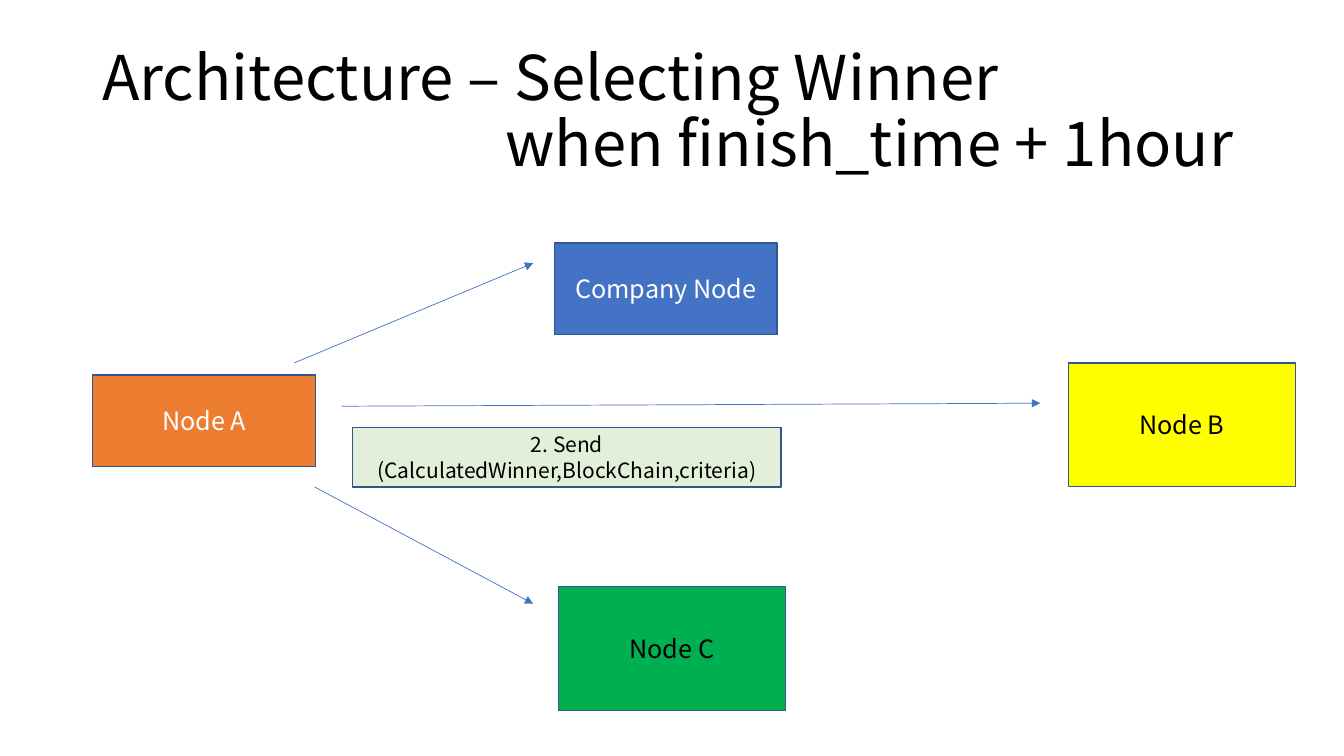
from dataclasses import dataclass

from pptx import Presentation
from pptx.dml.color import RGBColor as RGB
from pptx.enum.shapes import MSO_CONNECTOR as CONNECTOR, MSO_SHAPE as SHAPE
from pptx.enum.text import MSO_ANCHOR as ANCHOR, PP_ALIGN as ALIGN
from pptx.oxml.ns import qn
from pptx.util import Pt
from lxml.etree import SubElement


@dataclass(frozen=True)
class Theme:
    font: str = "Noto Sans CJK KR"
    black: str = "000000"
    white: str = "FFFFFF"
    orange: str = "ED7D31"
    yellow: str = "FFFF00"
    green: str = "00B050"
    pale_green: str = "E2F0D9"
    blue: str = "4472C4"
    outline: str = "325491"
    title_size: float = 44
    node_size: float = 18
    message_size: float = 15
    outline_width: float = 1
    arrow_width: float = 0.5


THEME = Theme()
SMALL_NODE = (159.12, 65.52)
LARGE_NODE = (162, 88.56)
BOXES = [
    (["Node A"], (0.24, 94.34), SMALL_NODE, THEME.orange, THEME.white, THEME.node_size),
    (["2. Send", "(CalculatedWinner,BlockChain,criteria)"],
     (186, 131.78), (306, 42.48), THEME.pale_green, THEME.black, THEME.message_size),
    (["Node B"], (697.2, 85.7), LARGE_NODE, THEME.yellow, THEME.black, THEME.node_size),
    (["Node C"], (332.88, 245.54), LARGE_NODE, THEME.green, THEME.black, THEME.node_size),
    (["Company Node"], (330, 0), SMALL_NODE, THEME.blue, THEME.white, THEME.node_size),
]
ROUTES = [
    ((178.08, 116.66), (677.04, 114.5)),
    ((158.64, 174.26), (314.88, 257.78)),
    ((144.24, 85.7), (314.88, 14.42)),
]


def apply(target, formats):
    for attribute, value in formats.items():
        setattr(target, attribute, value)


def write(frame, lines, size, color, frame_format, paragraph_format):
    apply(frame, {"word_wrap": True, "vertical_anchor": ANCHOR.MIDDLE, **frame_format})
    for index, line in enumerate(lines):
        paragraph = frame.add_paragraph() if index else frame.paragraphs[0]
        apply(paragraph, paragraph_format)
        run = paragraph.add_run()
        run.text = line
        apply(run.font, {"size": Pt(size), "name": THEME.font})
        run.font.color.rgb = RGB.from_string(color)


def draw_title(slide, left, top, width, height):
    title = slide.shapes.add_textbox(Pt(left), Pt(top), Pt(width), Pt(height))
    frame = title.text_frame
    write(frame, ["Architecture – Selecting Winner", "when finish_time + 1hour"],
          THEME.title_size, THEME.black, {"margin_right": 0}, {"line_spacing": 0.9})
    condition = frame.paragraphs[1]._p.get_or_add_pPr()
    condition.set("marL", str(Pt(288)))
    condition.set("indent", "0")


def draw_box(slide, left, top, size, lines, fill, color, text_size):
    box = slide.shapes.add_shape(SHAPE.RECTANGLE, Pt(left), Pt(top), *map(Pt, size))
    box.shadow.inherit = False
    box.fill.solid()
    box.fill.fore_color.rgb = RGB.from_string(fill)
    box.line.color.rgb = RGB.from_string(THEME.outline)
    box.line.width = Pt(THEME.outline_width)
    write(box.text_frame, lines, text_size, color, {}, {"alignment": ALIGN.CENTER})


def draw_arrow(slide, start, end):
    arrow = slide.shapes.add_connector(CONNECTOR.STRAIGHT, *map(Pt, start + end))
    arrow.line.color.rgb = RGB.from_string(THEME.blue)
    arrow.line.width = Pt(THEME.arrow_width)
    SubElement(arrow.line._get_or_add_ln(), qn("a:tailEnd"), type="triangle")
    SubElement(arrow._element.spPr, qn("a:effectLst"))


def draw_architecture(slide, left, top):
    for lines, (x, y), size, fill, color, text_size in BOXES:
        draw_box(slide, left + x, top + y, size, lines, fill, color, text_size)
    for route in ROUTES:
        draw_arrow(slide, *[(left + x, top + y) for x, y in route])


presentation = Presentation()
apply(presentation, {"slide_width": Pt(960), "slide_height": Pt(540)})
winner_slide = presentation.slides.add_slide(presentation.slide_layouts[6])
draw_title(winner_slide, 66, 28.8, 828, 104.4)
draw_architecture(winner_slide, 66, 173.5)
presentation.save("out.pptx")
